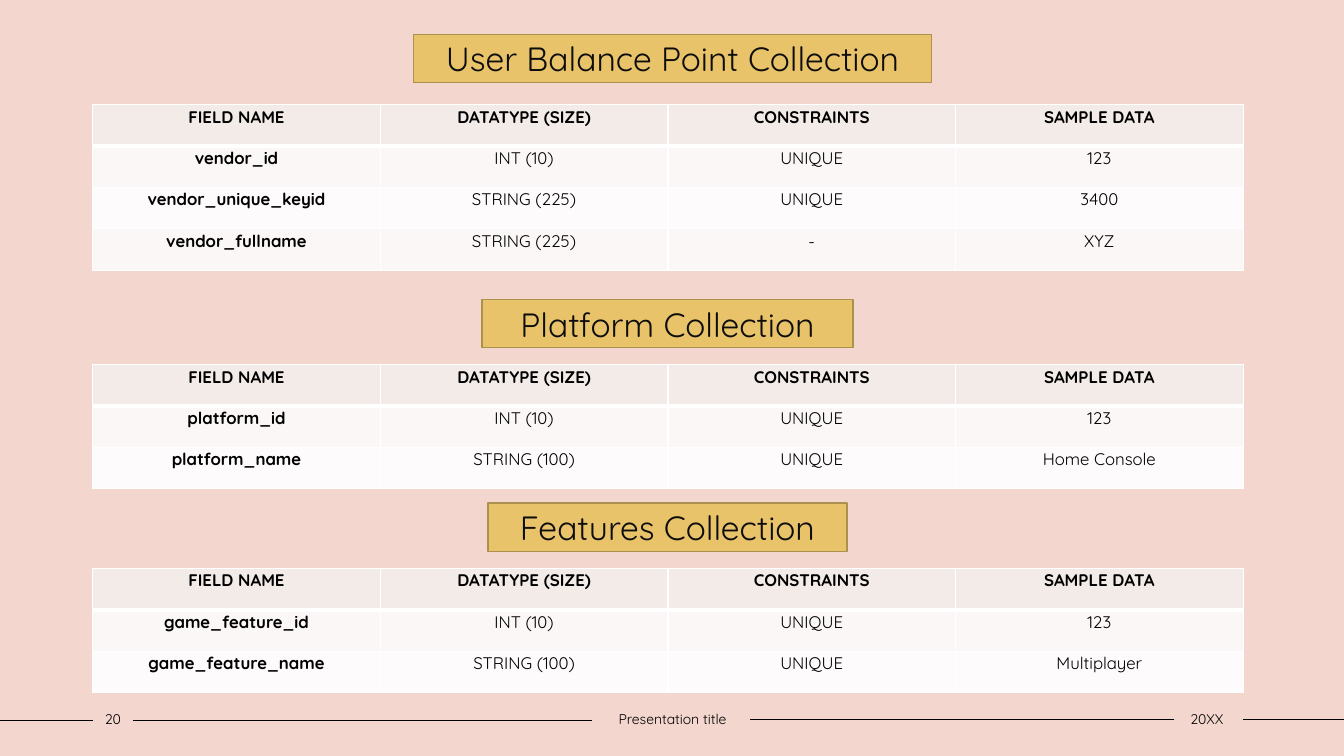
import pptx
import pptx.util
import pptx.dml.color
import pptx.enum.shapes
import pptx.enum.text
import pptx.oxml.ns
from lxml import etree

Inches = pptx.util.Inches
Pt = pptx.util.Pt
MIDDLE = pptx.enum.text.MSO_ANCHOR.MIDDLE

COLORS = {
    "background": "F3D6CD", "black": "000000", "white": "FFFFFF",
    "title_fill": "E9C369", "title_line": "AC904E", "title_text": "0D0D0D",
    "header": "F3EBE8", "odd_row": "FAF7F6", "even_row": "FDFBFB",
}


def color(name):
    return pptx.dml.color.RGBColor.from_string(COLORS[name])


def write(frame, text, size, color_name, bold=False):
    para = frame.paragraphs[0]
    para.alignment = pptx.enum.text.PP_ALIGN.CENTER
    span = para.add_run()
    span.text = text
    span.font.name = "Quicksand"
    span.font.size = Pt(size)
    span.font.bold = bold
    span.font.color.rgb = color(color_name)
    return para


deck = pptx.Presentation()
deck.slide_width, deck.slide_height = Inches(13.33), Inches(7.5)
page = deck.slides.add_slide(deck.slide_layouts[6])
page.background.fill.solid()
page.background.fill.fore_color.rgb = color("background")

# Footer lines
for start, end, y in [(0, 0.92, 7.15), (1.32, 5.87, 7.15),
                      (7.44, 11.64, 7.14), (12.33, 13.33, 7.14)]:
    line = page.shapes.add_connector(
        pptx.enum.shapes.MSO_CONNECTOR.STRAIGHT,
        Inches(start), Inches(y), Inches(end), Inches(y))
    line.line.color.rgb = color("black")
    line.line.width = Pt(1)
    etree.SubElement(line._element.spPr, pptx.oxml.ns.qn("a:effectLst"))

# Footer texts
for text, left, width in [("20", 0.92, 0.4), ("Presentation title", 5.87, 1.6),
                          ("20XX", 11.62, 0.7)]:
    box = page.shapes.add_textbox(Inches(left), Inches(7), Inches(width), Inches(0.27))
    frame = box.text_frame
    frame.word_wrap = True
    frame.vertical_anchor = MIDDLE
    frame.margin_left = frame.margin_right = 0
    write(frame, text, 10, "black")

# Collections: title, title left, top and width, table top, body rows
HEADER = ("FIELD NAME", "DATATYPE (SIZE)", "CONSTRAINTS", "SAMPLE DATA")
COLLECTIONS = [
    ("User Balance Point Collection", 4.1, 0.34, 5.14, 1.04, [
        ("vendor_id", "INT (10)", "UNIQUE", "123"),
        ("vendor_unique_keyid", "STRING (225)", "UNIQUE", "3400"),
        ("vendor_fullname", "STRING (225)", "-", "XYZ")]),
    ("Platform Collection", 4.78, 2.97, 3.68, 3.62, [
        ("platform_id", "INT (10)", "UNIQUE", "123"),
        ("platform_name", "STRING (100)", "UNIQUE", "Home Console")]),
    ("Features Collection", 4.84, 4.99, 3.56, 5.64, [
        ("game_feature_id", "INT (10)", "UNIQUE", "123"),
        ("game_feature_name", "STRING (100)", "UNIQUE", "Multiplayer")]),
]
ROW_HEIGHT = 0.41

for title, left, top, width, table_top, body in COLLECTIONS:
    # Title plate
    plate = page.shapes.add_shape(
        pptx.enum.shapes.MSO_SHAPE.RECTANGLE,
        Inches(left), Inches(top), Inches(width), Inches(0.48))
    plate.shadow.inherit = False
    plate.fill.solid()
    plate.fill.fore_color.rgb = color("title_fill")
    plate.line.color.rgb = color("title_line")
    plate.line.width = Pt(1)
    plate.text_frame.vertical_anchor = MIDDLE
    write(plate.text_frame, title, 24, "title_text")

    # Field table
    rows = [HEADER] + body
    table = page.shapes.add_table(
        len(rows), len(HEADER), Inches(0.92), Inches(table_top),
        Inches(11.41), Inches(ROW_HEIGHT * len(rows))).table
    table.horz_banding = False
    for row_index, row in enumerate(rows):
        table.rows[row_index].height = Inches(ROW_HEIGHT)
        if row_index == 0:
            fill_name = "header"
        else:
            fill_name = "odd_row" if row_index % 2 else "even_row"
        for column_index, text in enumerate(row):
            cell = table.cell(row_index, column_index)
            cell.margin_left = cell.margin_right = Inches(0.07)
            cell.margin_top = cell.margin_bottom = 0
            bold = row_index == 0 or column_index == 0
            para = write(cell.text_frame, text, 12, "black", bold)
            para.line_spacing = 1.07
            para.space_after = Pt(8)

            # White borders, thick between header and body
            thick_side = {0: "lnB", 1: "lnT"}.get(row_index)
            properties = cell._tc.get_or_add_tcPr()
            for side in ("lnL", "lnR", "lnT", "lnB"):
                weight = Pt(3 if side == thick_side else 1)
                border = etree.SubElement(
                    properties, pptx.oxml.ns.qn("a:" + side), w=str(int(weight)))
                paint = etree.SubElement(border, pptx.oxml.ns.qn("a:solidFill"))
                etree.SubElement(
                    paint, pptx.oxml.ns.qn("a:srgbClr"), val=COLORS["white"])
            cell.fill.solid()
            cell.fill.fore_color.rgb = color(fill_name)

deck.save("out.pptx")
